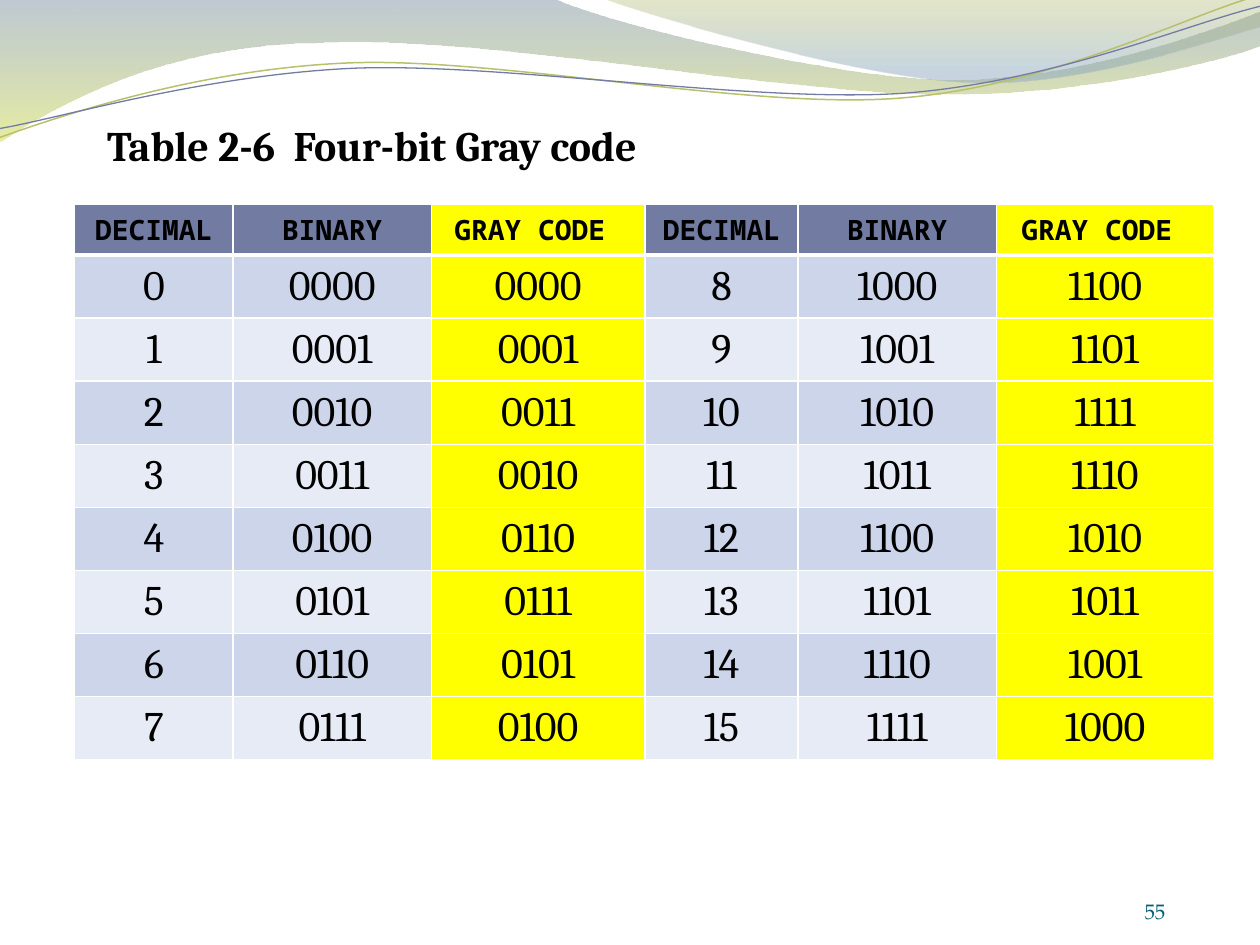
import math

from lxml import etree
from pptx import Presentation
from pptx.dml.color import RGBColor
from pptx.enum.text import MSO_ANCHOR, MSO_AUTO_SIZE, PP_ALIGN
from pptx.oxml.ns import qn
from pptx.util import Pt

LEFT, CENTER, RIGHT = PP_ALIGN.LEFT, PP_ALIGN.CENTER, PP_ALIGN.RIGHT
MIDDLE, BOTTOM = MSO_ANCHOR.MIDDLE, MSO_ANCHOR.BOTTOM
NO_AUTOFIT = MSO_AUTO_SIZE.NONE

BLACK = RGBColor(0x00, 0x00, 0x00)
WHITE = RGBColor(0xFF, 0xFF, 0xFF)
YELLOW = RGBColor(0xFF, 0xFF, 0x00)
INDIGO = RGBColor(0x72, 0x7C, 0xA3)
BAND_DARK = RGBColor(0xCC, 0xD5, 0xEA)
BAND_LIGHT = RGBColor(0xE7, 0xEB, 0xF5)
TEAL = RGBColor(0x04, 0x5C, 0x75)
SLATE = RGBColor(0x72, 0x88, 0x9B)
LIME = RGBColor(0xD3, 0xDE, 0x57)
OLIVE = RGBColor(0xA4, 0xAC, 0x50)
SKY = RGBColor(0x84, 0xA3, 0xBD)
MOSS = RGBColor(0xB9, 0xC0, 0x6C)

SERIF, MONO, NUMBER_FONT = "Cambria", "Noto Sans Mono", "TeX Gyre Pagella"
HEADERS = ["DECIMAL", "BINARY", "GRAY CODE "]
COLUMN_WIDTHS = [90.5, 113.3, 122.1, 87.5, 113.4, 124.2]
HEADER_HEIGHT, ROW_HEIGHT = 29, 36
CODES_PER_HALF = 8
CURVE_TILT = -2.7
CURVE_CENTER = (359.3, 41)

# Outlines in points: a pair is a straight step, six numbers are a Bezier curve.
WIDE_WAVE = [
    (0, -0.7), (316.8, -0.7),
    (342.7, 12.2, 478.1, 45.4, 545.8, 45.4), (614.2, 45.4, 689.8, 18.7, 720, 6.5),
    (720.7, 25.9),
    (707.8, 31.7, 626.4, 54.7, 537.1, 54), (447.8, 54, 275, 20.2, 185, 24.5),
    (92.9, 25.2, 33.1, 59.8, -0.7, 81.4),
]
RIGHT_WAVE = [
    (344.9, -0.7),
    (366.5, 7.9, 491, 44.6, 553.7, 46.8), (616.3, 49.7, 691.9, 23, 720, 15.1),
    (720, 0),
]
MOSS_LINE = [
    (0, 78.5),
    (34.6, 66.2, 113, 39.6, 198.7, 36), (284.4, 32.4, 426.2, 62.6, 512.6, 56.2),
    (599.8, 49.7, 675.4, 10.1, 717.8, -2.2),
]
INDIGO_LINE = [
    (0, 73.4),
    (33.8, 67.7, 117.4, 42.5, 203.8, 38.9), (289.4, 36, 429.8, 59, 516.2, 53.3),
    (601.9, 46.8, 678.2, 13.7, 720, 3.6),
]


def turn(point, degrees):
    """Turn a point clockwise about the centre of the curves."""
    angle = math.radians(degrees)
    x, y = point[0] - CURVE_CENTER[0], point[1] - CURVE_CENTER[1]
    return (CURVE_CENTER[0] + x * math.cos(angle) - y * math.sin(angle),
            CURVE_CENTER[1] + x * math.sin(angle) + y * math.cos(angle))


def add_outline(slide, outline, close, tilt=0):
    """Draw an outline with Bezier curves as a freeform without shadow."""
    points = [turn(step[index:index + 2], -tilt)
              for step in outline for index in range(0, len(step), 2)]
    points = [(Pt(x), Pt(y)) for x, y in points]
    builder = slide.shapes.build_freeform(*points[0], scale=1.0)
    builder.add_line_segments(points[1:], close=close)
    shape = builder.convert_to_shape()
    shape.shadow.inherit = False
    shape.rotation = tilt
    segments = iter(list(shape.element.iter(qn("a:lnTo"))))
    for step in outline[1:]:
        segment = next(segments)
        if len(step) == 6:
            curve = etree.Element(qn("a:cubicBezTo"))
            segment.addprevious(curve)
            for part in (segment, next(segments), next(segments)):
                curve.append(part[0])
                part.getparent().remove(part)
    return shape


def add_wave(slide, outline, stops):
    """Add a wave filled downwards by (position, colour, opacity percent) stops."""
    shape = add_outline(slide, outline, True)
    shape.line.fill.background()
    shape.fill.gradient()
    shape.fill.gradient_angle = 270
    for gradient_stop, (position, color, _) in zip(shape.fill.gradient_stops, stops):
        gradient_stop.position = position
        gradient_stop.color.rgb = color
    for element, (_, _, opacity) in zip(shape.element.iter(qn("a:srgbClr")), stops):
        etree.SubElement(element, qn("a:alpha"), val=str(opacity * 1000))


def add_curve(slide, outline, color, width):
    """Add a thin open curve."""
    shape = add_outline(slide, outline, False, CURVE_TILT)
    shape.fill.background()
    shape.line.color.rgb = color
    shape.line.width = Pt(width)


def write_text(frame, text, size=24, font=SERIF, color=BLACK, bold=False, align=LEFT):
    """Write one formatted line into a text frame."""
    paragraph = frame.paragraphs[0]
    paragraph.alignment = align
    run = paragraph.add_run()
    run.text = text
    run.font.size = Pt(size)
    run.font.name = font
    run.font.bold = bold
    run.font.color.rgb = color


def add_title(slide, text):
    """Place and fill the title placeholder."""
    title = slide.shapes.title
    title.left, title.top, title.width, title.height = Pt(54), Pt(64.6), Pt(345.6), Pt(36)
    frame = title.text_frame
    frame.auto_size = NO_AUTOFIT
    frame.vertical_anchor = MIDDLE
    write_text(frame, text, bold=True)


def add_page_number(slide, text):
    """Add the page number at the lower right."""
    frame = slide.shapes.add_textbox(Pt(516), Pt(492), Pt(150), Pt(36)).text_frame
    frame.word_wrap = True
    frame.vertical_anchor = BOTTOM
    frame.margin_left = frame.margin_right = frame.margin_top = frame.margin_bottom = 0
    write_text(frame, text, size=12, font=NUMBER_FONT, color=TEAL, align=RIGHT)


def set_borders(cell, top, bottom):
    """Give a cell white borders, with the top and bottom widths in points."""
    properties = cell._tc.get_or_add_tcPr()
    widths = {"a:lnL": 1, "a:lnR": 1, "a:lnT": top, "a:lnB": bottom}
    for index, (tag, width) in enumerate(widths.items()):
        line = etree.Element(qn(tag), w=str(Pt(width)))
        fill = etree.SubElement(line, qn("a:solidFill"))
        etree.SubElement(fill, qn("a:srgbClr"), val=str(WHITE))
        properties.insert(index, line)


def code_row(number):
    """Return a number in decimal, binary and Gray code."""
    return [str(number), f"{number:04b}", f"{number ^ (number >> 1):04b}"]


def add_code_table(slide):
    """Add the Gray code table, with two halves side by side."""
    rows = [HEADERS * 2] + [
        code_row(number) + code_row(number + CODES_PER_HALF)
        for number in range(CODES_PER_HALF)]
    heights = [HEADER_HEIGHT] + [ROW_HEIGHT] * CODES_PER_HALF
    table = slide.shapes.add_table(
        len(rows), len(COLUMN_WIDTHS), Pt(42.7), Pt(116.8),
        Pt(sum(COLUMN_WIDTHS)), Pt(sum(heights))).table
    for column, width in zip(table.columns, COLUMN_WIDTHS):
        column.width = Pt(width)
    for row_index, (texts, height) in enumerate(zip(rows, heights)):
        table.rows[row_index].height = Pt(height)
        header = row_index == 0
        band = INDIGO if header else (BAND_DARK if row_index % 2 else BAND_LIGHT)
        style = {"size": 16, "font": MONO, "bold": True} if header else {}
        for column_index, text in enumerate(texts):
            cell = table.cell(row_index, column_index)
            cell.vertical_anchor = MIDDLE
            cell.fill.solid()
            cell.fill.fore_color.rgb = YELLOW if column_index % 3 == 2 else band
            set_borders(cell, top=3 if row_index == 1 else 1, bottom=3 if header else 1)
            write_text(cell.text_frame, text, align=CENTER, **style)


def main():
    """Build and save the slide."""
    presentation = Presentation()
    presentation.slide_width, presentation.slide_height = Pt(720), Pt(540)
    slide = presentation.slides.add_slide(presentation.slide_layouts[5])
    add_wave(slide, WIDE_WAVE, [(0, SLATE, 45), (1, LIME, 55)])
    add_wave(slide, RIGHT_WAVE, [(0, OLIVE, 30), (0.8, SKY, 45)])
    add_curve(slide, MOSS_LINE, MOSS, 0.85)
    add_curve(slide, INDIGO_LINE, INDIGO, 0.75)
    add_page_number(slide, "55")
    add_title(slide, "Table 2-6  Four-bit Gray code")
    add_code_table(slide)
    presentation.save("out.pptx")


main()
